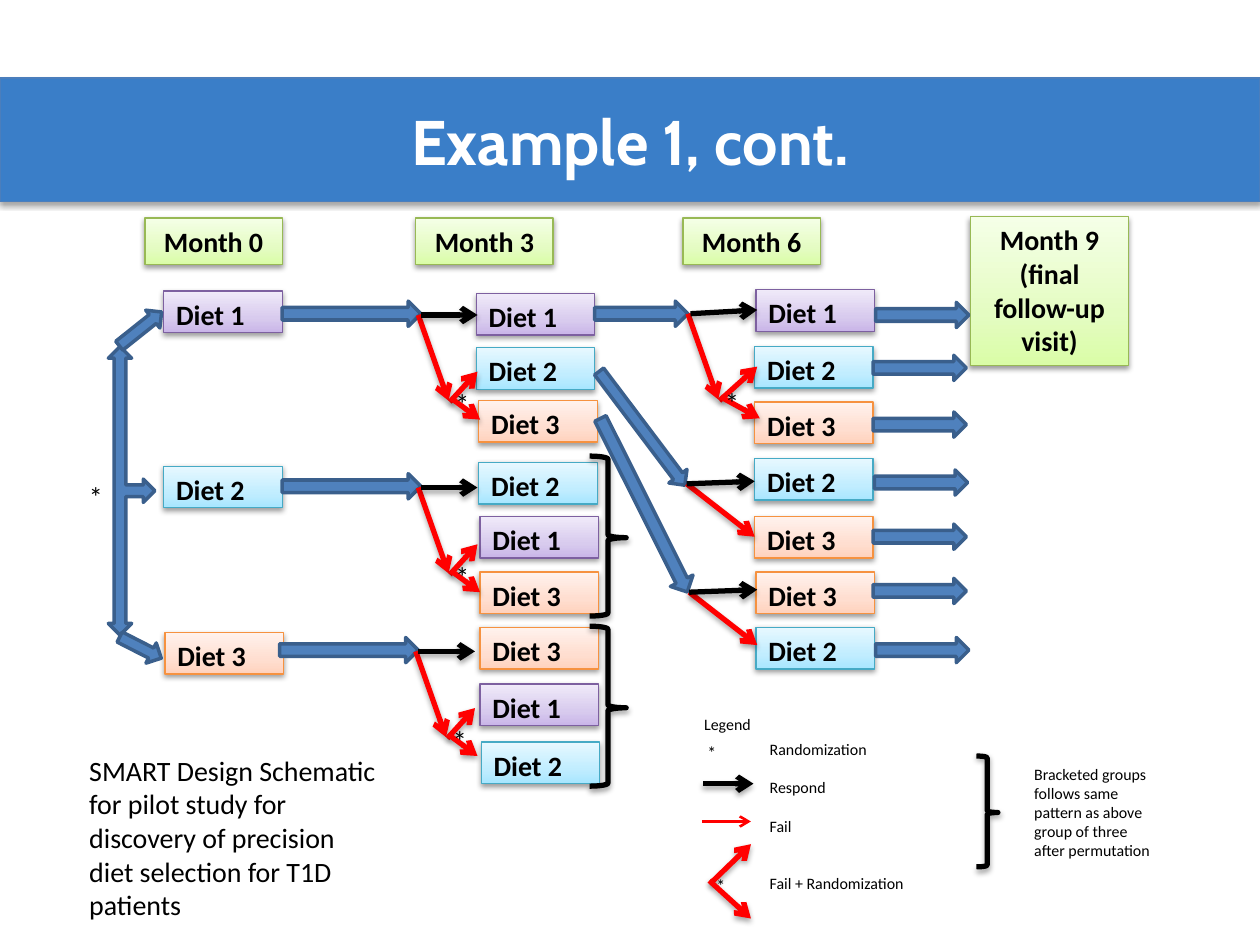
from copy import deepcopy

from lxml import etree
from pptx import Presentation
from pptx.dml.color import RGBColor
from pptx.enum.shapes import MSO_CONNECTOR as Connector, MSO_SHAPE as Shape
from pptx.enum.text import MSO_ANCHOR as Anchor, MSO_AUTO_SIZE as AutoSize, PP_ALIGN as Align
from pptx.oxml.ns import qn
from pptx.util import Inches, Pt

BLACK = RGBColor(0x00, 0x00, 0x00)
WHITE = RGBColor(0xFF, 0xFF, 0xFF)
RED = RGBColor(0xFF, 0x00, 0x00)
BANNER = RGBColor(0x3A, 0x7E, 0xC8)
BANNER_LINE = RGBColor(0x4B, 0x7E, 0xBC)
ARROW_FILL = RGBColor(0x4F, 0x81, 0xBD)
ARROW_LINE = RGBColor(0x3A, 0x5F, 0x8C)

# Each palette: outline, then gradient colours from bottom to top
GREEN = [RGBColor(0x98, 0xB9, 0x55), RGBColor(0xDA, 0xFD, 0xA7),
         RGBColor(0xE4, 0xFC, 0xC2), RGBColor(0xF5, 0xFF, 0xE7)]
DIET_PALETTES = {
    1: [RGBColor(0x7D, 0x60, 0xA0), RGBColor(0xC9, 0xB5, 0xE8),
        RGBColor(0xD8, 0xCB, 0xEE), RGBColor(0xF0, 0xEA, 0xF9)],
    2: [RGBColor(0x46, 0xAA, 0xC5), RGBColor(0xA7, 0xE6, 0xFF),
        RGBColor(0xC1, 0xED, 0xFF), RGBColor(0xE7, 0xF8, 0xFF)],
    3: [RGBColor(0xF6, 0x92, 0x40), RGBColor(0xFF, 0xD2, 0xBD),
        RGBColor(0xFF, 0xDE, 0xD0), RGBColor(0xFF, 0xF2, 0xED)],
}

# (diet number, left, top)
DIETS = [
    (1, 1.3, 2.31), (2, 1.3, 3.7), (3, 1.31, 5.02),
    (1, 3.78, 2.33), (2, 3.78, 2.76), (3, 3.8, 3.18),
    (2, 3.8, 3.67), (1, 3.81, 4.1), (3, 3.81, 4.54),
    (3, 3.81, 4.98), (1, 3.81, 5.43), (2, 3.82, 5.89),
    (1, 6, 2.3), (2, 5.99, 2.75), (3, 5.99, 3.19), (2, 5.99, 3.64),
    (3, 5.99, 4.1), (3, 6, 4.54), (2, 6, 4.98),
]
FOLLOW_UPS = [(6.95, 2.4), (6.93, 2.82), (6.93, 3.27), (6.94, 3.73),
              (6.93, 4.16), (6.93, 4.59), (6.95, 5.06)]


def set_shadow(shape, opacity=None, distance=23000):
    """Replace the theme shadow; without opacity there is none."""
    properties = shape._element.spPr
    for old in properties.findall(qn("a:effectLst")):
        properties.remove(old)
    effects = etree.SubElement(properties, qn("a:effectLst"))
    if opacity:
        shadow = etree.SubElement(effects, qn("a:outerShdw"), blurRad="40000",
                                  dist=str(distance), dir="5400000", rotWithShape="0")
        color = etree.SubElement(shadow, qn("a:srgbClr"), val="000000")
        etree.SubElement(color, qn("a:alpha"), val=str(opacity * 1000))


def set_line(shape, color, width):
    shape.line.color.rgb = color
    shape.line.width = Pt(width)


def write(shape, lines, size=16, bold=False, align=Align.LEFT, color=BLACK,
          font="Calibri", anchor=Anchor.TOP, wrap=True, gaps=()):
    frame = shape.text_frame
    frame.word_wrap = wrap
    frame.auto_size = AutoSize.NONE
    frame.vertical_anchor = anchor
    for index, line in enumerate(lines):
        para = frame.add_paragraph() if index else frame.paragraphs[0]
        para.alignment = align
        if gaps:
            para.space_before = Pt(gaps[index])
        span = para.add_run()
        span.text = line
        span.font.name, span.font.size, span.font.bold = font, Pt(size), bold
        span.font.color.rgb = color


def add_shape(page, kind, left, top, width, height):
    return page.shapes.add_shape(kind, Inches(left), Inches(top), Inches(width), Inches(height))


def add_text(page, left, top, width, height, lines, **style):
    box = page.shapes.add_textbox(Inches(left), Inches(top), Inches(width), Inches(height))
    write(box, lines, **style)
    return box


def add_star(page, left, top, width=0.28, size=16):
    box = add_text(page, left, top, width, 0.33, ["*"], size=size, align=Align.CENTER)
    box.text_frame.margin_left = box.text_frame.margin_right = 0


def add_box(page, left, top, width, height, palette, lines, align=Align.LEFT):
    box = add_shape(page, Shape.RECTANGLE, left, top, width, height)
    outline, *colors = palette
    box.fill.gradient()
    box.fill.gradient_angle = 90
    stop_list = box._element.spPr.find(".//" + qn("a:gsLst"))
    stop_list.insert(1, deepcopy(stop_list[0]))
    for stop, color, position in zip(box.fill.gradient_stops, colors, (0, 0.35, 1)):
        stop.color.rgb = color
        stop.position = position
    set_line(box, outline, 0.75)
    set_shadow(box, 38, 20000)
    write(box, lines, bold=True, align=align)


def add_block_arrow(page, left, top, width, height=0.2, rotation=0, kind=Shape.RIGHT_ARROW):
    arrow = add_shape(page, kind, left, top, width, height)
    arrow.rotation = rotation
    arrow.fill.solid()
    arrow.fill.fore_color.rgb = ARROW_FILL
    set_line(arrow, ARROW_LINE, 2)
    set_shadow(arrow)


def add_arrow(page, x1, y1, x2, y2, color=RED, width=3, opacity=35):
    arrow = page.shapes.add_connector(Connector.STRAIGHT, Inches(x1), Inches(y1),
                                      Inches(x2), Inches(y2))
    set_line(arrow, color, width)
    etree.SubElement(arrow.line._get_or_add_ln(), qn("a:tailEnd"), type="arrow")
    set_shadow(arrow, opacity)


def add_brace(page, left, top, width, height):
    brace = add_shape(page, Shape.RIGHT_BRACE, left, top, width, height)
    brace.adjustments[0], brace.adjustments[1] = 0.083, 0.51
    brace.fill.background()
    set_line(brace, BLACK, 3)
    set_shadow(brace, 35)


def add_fork(page, x, y, reach, rise=0):
    """Respond arrow, and fail arrow that splits at a randomization."""
    add_arrow(page, x, y, x + 0.24, y + 0.68)
    add_arrow(page, x + 0.25, y + 0.69, x + reach, y + 0.45 - rise)
    add_arrow(page, x + 0.26, y + 0.66, x + reach + 0.02, y + 0.83)
    add_arrow(page, x + 0.02, y, x + reach, y - rise, BLACK)
    add_star(page, x + 0.21, y + 0.52)


def add_banner(page):
    title = page.shapes.title
    title.left, title.top = Inches(0), Inches(0.62)
    title.width, title.height = Inches(10), Inches(0.98)
    title.fill.solid()
    title.fill.fore_color.rgb = BANNER
    set_line(title, BANNER_LINE, 0.75)
    set_shadow(title, 35)
    write(title, ["Example 1, cont."], size=36, bold=True, align=Align.CENTER,
          color=WHITE, font="Cabin", anchor=Anchor.MIDDLE)


def add_legend(page):
    add_text(page, 5.49, 5.62, 0.96, 0.3, ["Legend"], size=9.1)
    add_text(page, 6.01, 5.82, 1.28, 1.33,
             ["Randomization", "Respond", "Fail", "Fail + Randomization"],
             size=9.1, wrap=False, gaps=(0, 11, 11, 22))
    add_star(page, 5.57, 5.84, 0.16, 10.2)
    add_arrow(page, 5.58, 6.22, 5.98, 6.22, BLACK)
    add_arrow(page, 5.57, 6.52, 5.96, 6.52, width=1.5, opacity=None)
    add_arrow(page, 5.64, 7.01, 5.96, 6.7)
    add_arrow(page, 5.63, 6.99, 5.96, 7.29)
    add_star(page, 5.64, 6.89, 0.16, 10.2)
    add_brace(page, 7.75, 6, 0.17, 0.88)
    add_text(page, 8.11, 6.02, 1.12, 0.87,
             ["Bracketed groups", "follows same", "pattern as above",
              "group of three", "after permutation"], size=9.1, wrap=False)


def main():
    deck = Presentation()
    deck.slide_width, deck.slide_height = Inches(10), Inches(7.5)
    page = deck.slides.add_slide(deck.slide_layouts[5])
    add_banner(page)

    # Month headings and diet boxes
    for month, left in ((0, 1.15), (3, 3.3), (6, 5.42)):
        add_box(page, left, 1.73, 1.09, 0.37, GREEN, [f"Month {month}"], Align.CENTER)
    add_box(page, 7.7, 1.72, 1.26, 1.18, GREEN,
            ["Month 9", "(final follow-up visit)"], Align.CENTER)
    for number, left, top in DIETS:
        add_box(page, left, top, 0.94, 0.33, DIET_PALETTES[number], [f"Diet {number}"])

    # First randomization
    add_block_arrow(page, -0.1, 3.71, 2.29, 0.37, 90, Shape.LEFT_RIGHT_UP_ARROW)
    add_block_arrow(page, 0.9, 2.52, 0.43, 0.18, 321.5)
    add_block_arrow(page, 0.93, 5.05, 0.37, 0.18, 27)
    add_star(page, 0.62, 3.76)

    # Month 0 to month 3
    for x, y in ((3.32, 2.5), (3.32, 3.87), (3.3, 5.17)):
        add_block_arrow(page, x - 1.08, y - 0.11, 1.1)
        add_fork(page, x, y, 0.47)

    # Month 3 to month 6
    add_block_arrow(page, 4.72, 2.39, 0.74)
    add_fork(page, 5.46, 2.49, 0.55, rise=0.03)
    add_block_arrow(page, 4.53, 3.31, 1.13, 0.18, 53)
    add_block_arrow(page, 4.34, 3.91, 1.54, 0.2, 63.4)
    for x, y in ((5.45, 3.84), (5.47, 4.7)):
        add_arrow(page, x, y, x + 0.54, y + 0.42)
        add_arrow(page, x, y, x + 0.54, y - 0.02, BLACK)

    # Month 6 to month 9
    for left, top in FOLLOW_UPS:
        add_block_arrow(page, left, top, 0.74)

    # Bracketed groups, legend and caption
    for top in (3.62, 4.97):
        add_brace(page, 4.68, top, 0.29, 1.27)
    add_legend(page)
    add_text(page, 0.61, 5.93, 2.48, 1.45,
             ["SMART Design Schematic for pilot study for discovery of "
              "precision diet selection for T1D patients"])
    deck.save("out.pptx")


if __name__ == "__main__":
    main()
